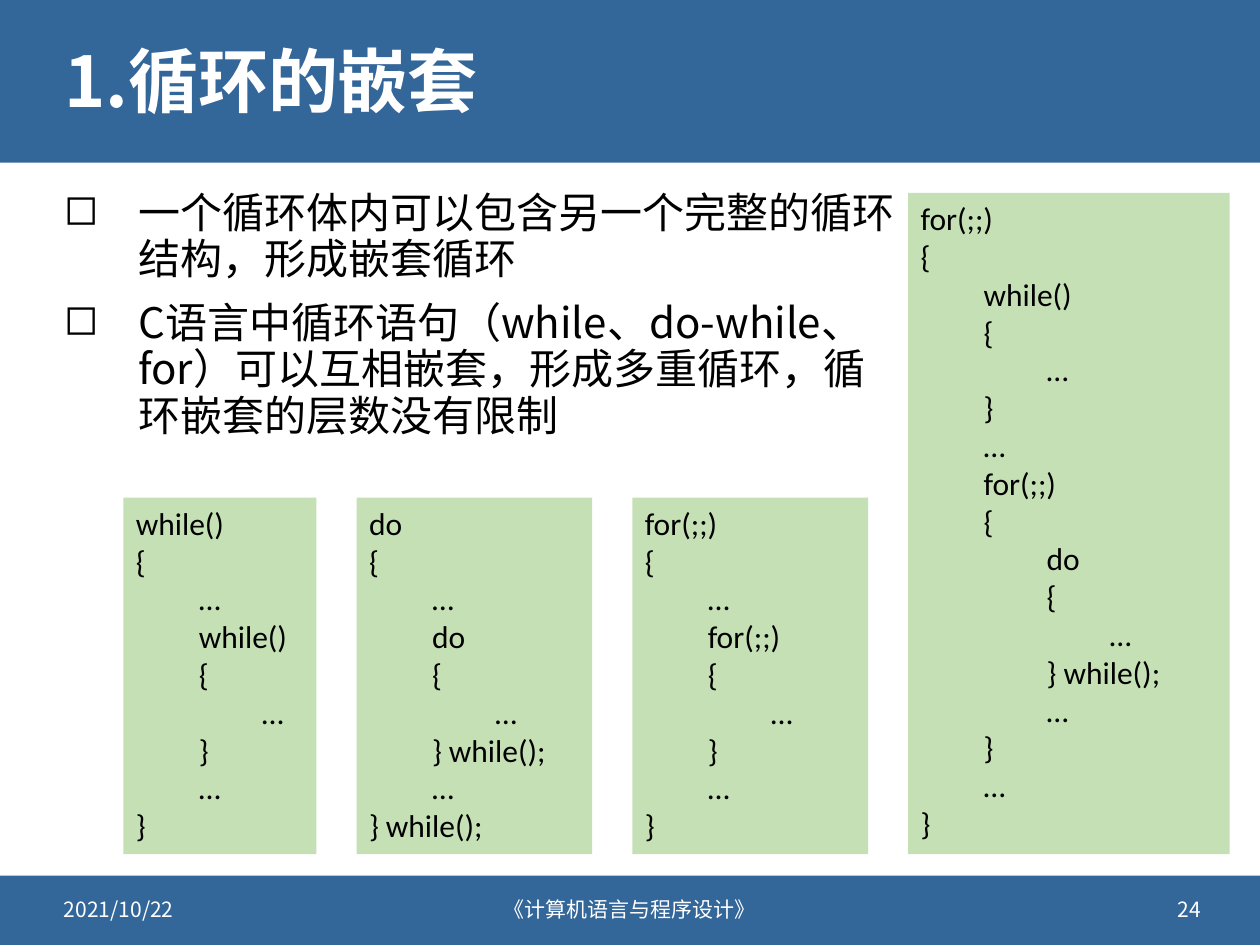
from lxml.etree import SubElement
from pptx import Presentation
from pptx.dml.color import RGBColor
from pptx.enum.shapes import MSO_SHAPE as Shape
from pptx.enum.text import MSO_ANCHOR as Anchor, MSO_AUTO_SIZE as AutoSize, PP_ALIGN as Align
from pptx.oxml.ns import qn
from pptx.util import Cm, Pt

BLUE = RGBColor(0x33, 0x66, 0x99)
GREEN = RGBColor(0xC5, 0xE0, 0xB4)
WHITE = RGBColor(0xFF, 0xFF, 0xFF)
BLACK = RGBColor(0, 0, 0)
CJK, LATIN = "Noto Sans CJK SC", "Calibri"

PAGE_WIDTH, PAGE_HEIGHT = 25.4, 19.05
MARGIN = 1.04
INDENT = 1.27
CODE_LEFT, CODE_GAP, CODE_BOTTOM = 2.49, 0.81, 17.22

POINTS = [
    "一个循环体内可以包含另一个完整的循环结构，形成嵌套循环",
    "C语言中循环语句（while、do-while、for）可以互相嵌套，形成多重循环，循环嵌套的层数没有限制",
]

# Each code line is a pair: nesting depth and text
MIXED_LOOPS = [
    (0, "for(;;)"), (0, "{"),
    (1, "while()"), (1, "{"), (2, "…"), (1, "}"), (1, "…"),
    (1, "for(;;)"), (1, "{"),
    (2, "do"), (2, "{"), (3, "…"), (2, "} while();"), (2, "…"),
    (1, "}"), (1, "…"), (0, "}"),
]


def same_loops(head, tail):
    """Code lines of a loop nested in a loop of the same kind."""
    return [(0, head), (0, "{"), (1, "…"), (1, head), (1, "{"),
            (2, "…"), (1, tail), (1, "…"), (0, tail)]


def write(para, text, size=18, font=CJK, color=BLACK, bold=False, align=Align.LEFT):
    para.alignment = align
    span = para.add_run()
    span.text = text
    span.font.size = Pt(size)
    span.font.name = font
    span.font.bold = bold
    span.font.color.rgb = color
    SubElement(span.font._element, qn("a:ea"), typeface=font)


def next_para(frame, index):
    return frame.paragraphs[0] if index == 0 else frame.add_paragraph()


def indent(para, left, first=0):
    properties = para._p.get_or_add_pPr()
    properties.set("marL", str(Cm(left)))
    properties.set("indent", str(Cm(first)))
    return properties


def add_box(page, left, top, width, height, fill):
    box = page.shapes.add_shape(Shape.RECTANGLE, Cm(left), Cm(top), Cm(width), Cm(height))
    box.shadow.inherit = False
    box.fill.solid()
    box.fill.fore_color.rgb = fill
    box.line.fill.background()
    return box


def add_band(page, top, height):
    """Full-width band, kept behind the title."""
    band = add_box(page, 0, top, PAGE_WIDTH, height, BLUE)
    page.shapes._spTree.insert(2, band._element)


def set_title(page, text):
    title = page.shapes.title
    title.left, title.top = Cm(MARGIN), Cm(0.46)
    title.width, title.height = Cm(23.34), Cm(2.51)
    title.text_frame.vertical_anchor = Anchor.MIDDLE
    para = title.text_frame.paragraphs[0]
    para.line_spacing = 0.9
    write(para, text, size=40, color=WHITE, bold=True)


def add_points(page, points):
    box = page.shapes.add_textbox(Cm(MARGIN), Cm(3.73), Cm(17.32), Cm(13.41))
    frame = box.text_frame
    frame.word_wrap = True
    for index, text in enumerate(points):
        para = next_para(frame, index)
        para.line_spacing = 0.92
        para.space_before = Pt(10)
        SubElement(indent(para, 1.5, -1.5), qn("a:buChar"), char="◻")
        write(para, text, size=24)


def add_code(page, left, top, width, lines):
    box = add_box(page, left, top, width, CODE_BOTTOM - top, GREEN)
    frame = box.text_frame
    frame.word_wrap = True
    frame.vertical_anchor = Anchor.TOP
    frame.auto_size = AutoSize.SHAPE_TO_FIT_TEXT
    for index, (depth, text) in enumerate(lines):
        para = next_para(frame, index)
        para.level = depth
        indent(para, depth * INDENT)
        write(para, text, font=LATIN)


def add_footer(page, left, width, text, align):
    box = page.shapes.add_textbox(Cm(left), Cm(17.81), Cm(width), Cm(1.02))
    box.text_frame.word_wrap = True
    box.text_frame.vertical_anchor = Anchor.MIDDLE
    write(box.text_frame.paragraphs[0], text, size=12, color=WHITE, align=align)


def main():
    deck = Presentation()
    deck.slide_width, deck.slide_height = Cm(PAGE_WIDTH), Cm(PAGE_HEIGHT)
    page = deck.slides.add_slide(deck.slide_layouts[5])

    # Bands, title and bullet points
    add_band(page, 0, 3.28)
    add_band(page, 17.65, 1.4)
    set_title(page, "1.循环的嵌套")
    add_points(page, POINTS)

    # Code boxes, left to right with equal gaps
    left = CODE_LEFT
    for top, width, lines in [
        (10.03, 3.89, same_loops("while()", "}")),
        (10.03, 4.75, same_loops("do", "} while();")),
        (10.03, 4.75, same_loops("for(;;)", "}")),
        (3.89, 6.48, MIXED_LOOPS),
    ]:
        add_code(page, left, top, width, lines)
        left += width + CODE_GAP

    # Footer
    add_footer(page, MARGIN, 6.1, "2021/10/22", Align.LEFT)
    add_footer(page, 8.13, 9.14, "《计算机语言与程序设计》", Align.CENTER)
    add_footer(page, 18.36, 6.1, "24", Align.RIGHT)

    deck.save("out.pptx")


if __name__ == "__main__":
    main()
